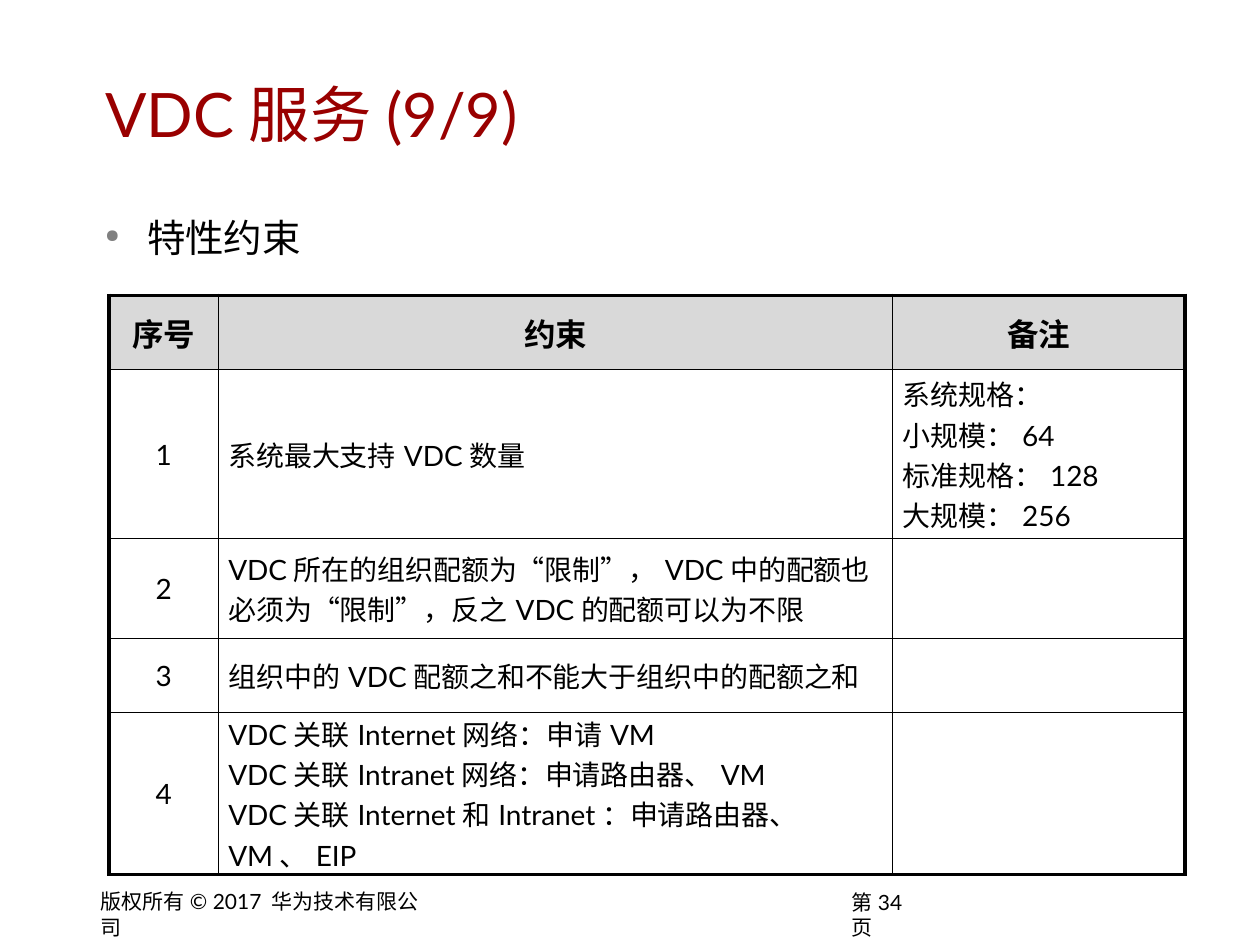
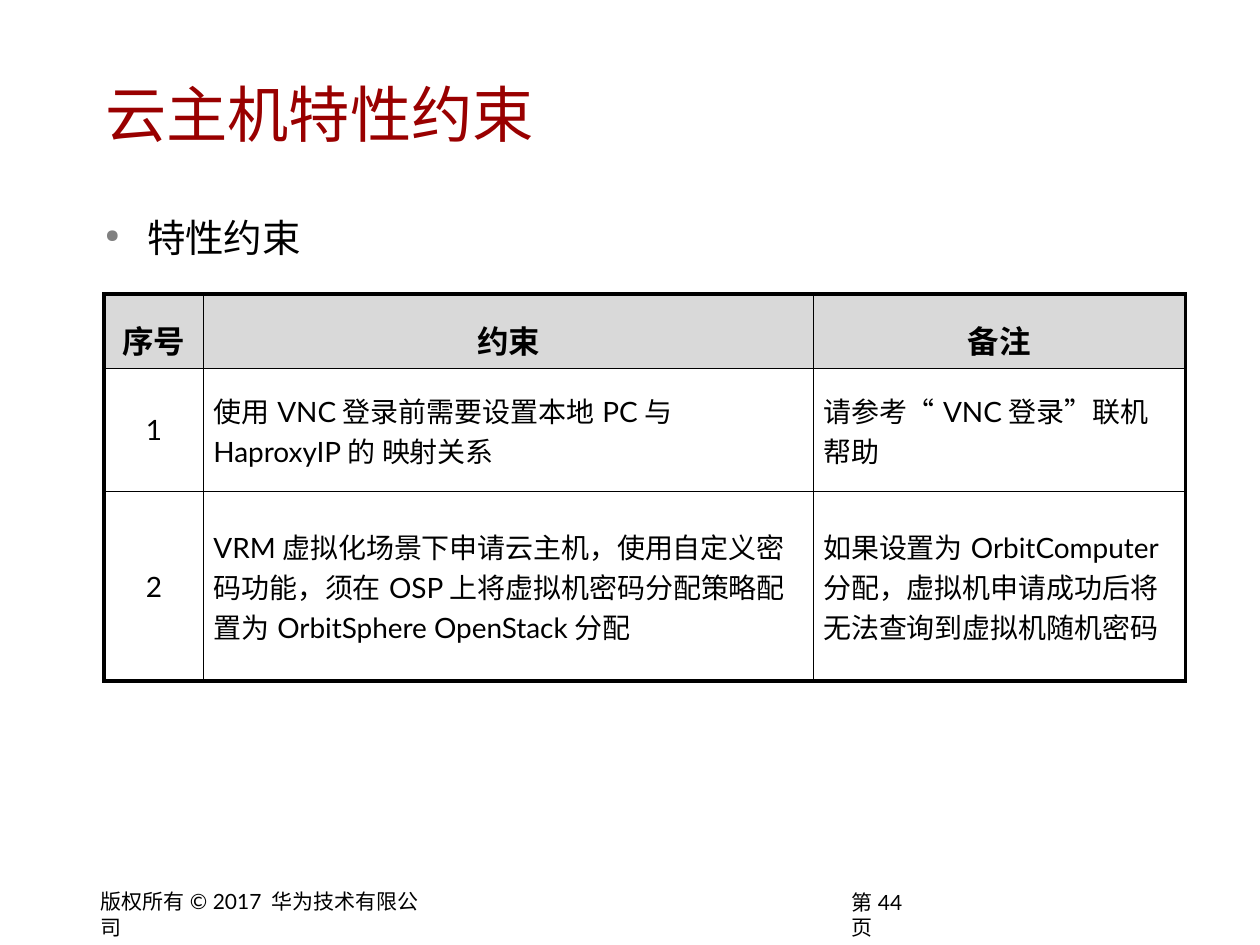
from dataclasses import dataclass

from lxml.etree import SubElement
from pptx import Presentation
from pptx.dml.color import RGBColor
from pptx.enum.lang import MSO_LANGUAGE_ID as Lang
from pptx.enum.text import MSO_ANCHOR as Anchor, PP_ALIGN as Align
from pptx.oxml.ns import qn
from pptx.util import Pt

FONT = "Lato"
BLACK, TITLE_RED, HEADER_GRAY, BULLET_GRAY = "000000", "990000", "D9D9D9", "808080"
OUTER_LINE, INNER_LINE = 2.25, 0.75
HEADINGS = ("序号", "约束", "备注")
COPYRIGHT = "版权所有© 2017 华为技术有限公司"


@dataclass(frozen=True)
class Box:
    left: float
    top: float
    width: float
    height: float


@dataclass(frozen=True)
class ConstraintTable:
    left: float
    top: float
    column_widths: tuple[float, ...]
    row_heights: tuple[float, ...]
    rows: tuple[tuple[str, str], ...]  # constraint and remark
    header_anchor: Anchor = Anchor.MIDDLE
    header_spacing: float = 1.0


@dataclass(frozen=True)
class ConstraintSlide:
    title: str
    page: int
    table: ConstraintTable


TITLE_BOX = Box(53.5, 30.2, 623.5, 68.4)
TOPIC_BOX = Box(53.5, 108.7, 623.5, 50)
PAGE_BOX = Box(480.2, 505, 51.8, 20.9)
COPYRIGHT_BOX = Box(51.1, 504.7, 200.9, 20.9)

SLIDES = (
    ConstraintSlide("VDC服务(9/9)", 34, ConstraintTable(
        62.3, 168.8, (62.6, 385.2, 167), (42.5, 96.5, 56.9, 42.5, 92.5),
        (
            ("系统最大支持VDC数量",
             "系统规格：\n小规模：64\n标准规格：128\n大规模：256"),
            ("VDC所在的组织配额为“限制”，VDC中的配额也必须为“限制”，反之VDC的配额可以为不限", ""),
            ("组织中的VDC配额之和不能大于组织中的配额之和", ""),
            ("VDC关联Internet网络：申请VM\nVDC关联Intranet网络：申请路由器、VM\n"
             "VDC关联Internet和Intranet：申请路由器、VM、EIP", ""),
        ))),
    ConstraintSlide("云主机特性约束", 44, ConstraintTable(
        59.5, 168, (56.9, 348.5, 212.4), (42.5, 70.6, 108),
        (
            ("使用VNC登录前需要设置本地PC与HaproxyIP的 映射关系", "请参考“VNC登录”联机帮助"),
            ("VRM虚拟化场景下申请云主机，使用自定义密码功能，须在OSP上将虚拟机密码分配策略配置为"
             "OrbitSphere OpenStack分配",
             "如果设置为OrbitComputer分配，虚拟机申请成功后将无法查询到虚拟机随机密码"),
        ),
        header_anchor=Anchor.TOP, header_spacing=1.5)),
)


def rgb(color: str) -> RGBColor:
    return RGBColor.from_string(color)


def style_text(frame, size: float, color: str = BLACK, bold: bool = False,
               align: Align = Align.LEFT) -> None:
    for paragraph in frame.paragraphs:
        paragraph.alignment = align
        for run in paragraph.runs:
            font = run.font
            font.name, font.size, font.bold = FONT, Pt(size), bold
            font.color.rgb = rgb(color)
            font.language_id = Lang.SIMPLIFIED_CHINESE


def add_text(slide, box: Box, text: str, size: float, color: str = BLACK,
             anchor: Anchor = Anchor.TOP):
    frame = slide.shapes.add_textbox(
        Pt(box.left), Pt(box.top), Pt(box.width), Pt(box.height)).text_frame
    frame.word_wrap = True
    frame.vertical_anchor = anchor
    frame.margin_left = frame.margin_right = Pt(6.6)
    frame.margin_top = frame.margin_bottom = Pt(3.2)
    frame.text = text
    style_text(frame, size, color)
    return frame


def add_topic(slide, text: str) -> None:
    paragraph = add_text(slide, TOPIC_BOX, text, 22).paragraphs[0]
    paragraph.line_spacing = 1.4
    properties = paragraph._p.get_or_add_pPr()
    properties.set("marL", str(Pt(24)))
    properties.set("indent", str(Pt(-24)))
    bullet_color = SubElement(properties, qn("a:buClr"))
    SubElement(bullet_color, qn("a:srgbClr"), val=BULLET_GRAY)
    SubElement(properties, qn("a:buSzPct"), val="48000")
    SubElement(properties, qn("a:buChar"), char="●")


def set_border(cell, side: str, width: float) -> None:
    line = SubElement(cell._tc.get_or_add_tcPr(), qn(f"a:ln{side}"), w=str(Pt(width)))
    fill = SubElement(line, qn("a:solidFill"))
    SubElement(fill, qn("a:srgbClr"), val=BLACK)


def add_constraint_table(slide, spec: ConstraintTable) -> None:
    numbered = [(str(n), *row) for n, row in enumerate(spec.rows, 1)]
    contents = [HEADINGS, *numbered]
    last_row, last_column = len(contents) - 1, len(HEADINGS) - 1
    table = slide.shapes.add_table(
        len(contents), len(HEADINGS), Pt(spec.left), Pt(spec.top),
        Pt(sum(spec.column_widths)), Pt(sum(spec.row_heights))).table
    table.horz_banding = False
    for column, width in zip(table.columns, spec.column_widths):
        column.width = Pt(width)
    for row, height in zip(table.rows, spec.row_heights):
        row.height = Pt(height)

    for r, texts in enumerate(contents):
        for c, text in enumerate(texts):
            cell = table.cell(r, c)
            header = r == 0
            cell.text_frame.text = text
            cell.margin_left = cell.margin_right = Pt(5.6)
            cell.margin_top = cell.margin_bottom = 0
            cell.vertical_anchor = spec.header_anchor if header else Anchor.MIDDLE
            style_text(cell.text_frame, 18 if header else 16, bold=header,
                       align=Align.CENTER if header or c == 0 else Align.LEFT)
            # Heavy frame outside, thin grid inside
            edges = {"L": c == 0, "R": c == last_column, "T": r == 0, "B": r == last_row}
            for side, outer in edges.items():
                set_border(cell, side, OUTER_LINE if outer else INNER_LINE)
            if header:
                cell.text_frame.paragraphs[0].line_spacing = spec.header_spacing
                cell.fill.solid()
                cell.fill.fore_color.rgb = rgb(HEADER_GRAY)
            else:
                cell.fill.background()


def add_footer(slide, page: int) -> None:
    add_text(slide, PAGE_BOX, f"第{page}页", 12)
    add_text(slide, COPYRIGHT_BOX, COPYRIGHT, 12)


def main() -> None:
    deck = Presentation()
    deck.slide_width, deck.slide_height = Pt(720), Pt(540)
    for spec in SLIDES:
        slide = deck.slides.add_slide(deck.slide_layouts[6])
        add_footer(slide, spec.page)
        add_text(slide, TITLE_BOX, spec.title, 35, TITLE_RED, Anchor.MIDDLE)
        add_topic(slide, "特性约束")
        add_constraint_table(slide, spec.table)
    deck.save("out.pptx")


if __name__ == "__main__":
    main()
